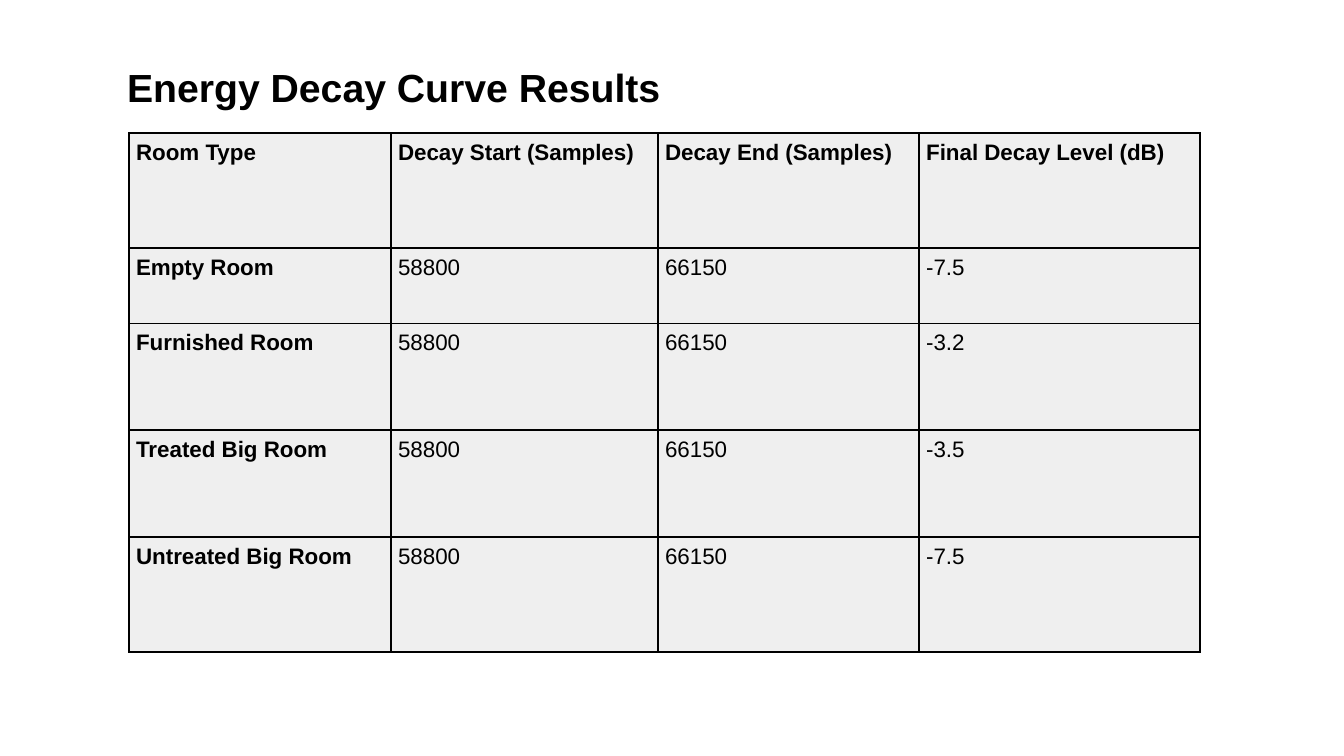
from lxml import etree
from pptx import Presentation
from pptx.dml.color import RGBColor
from pptx.enum.text import MSO_ANCHOR, PP_ALIGN
from pptx.oxml.ns import qn
from pptx.util import Cm, Pt

TITLE = "Energy Decay Curve Results"
ROWS = [
    ("Room Type", "Decay Start (Samples)", "Decay End (Samples)", "Final Decay Level (dB)"),
    ("Empty Room", "58800", "66150", "-7.5"),
    ("Furnished Room", "58800", "66150", "-3.2"),
    ("Treated Big Room", "58800", "66150", "-3.5"),
    ("Untreated Big Room", "58800", "66150", "-7.5"),
]
COLUMN_WIDTHS = [6.6, 6.73, 6.58, 7.09]
ROW_HEIGHTS = [2.9, 1.9, 2.69, 2.69, 2.9]

FONT = "Arial"
BLACK = RGBColor(0x00, 0x00, 0x00)
PALE_GREY = RGBColor(0xEF, 0xEF, 0xEF)
CELL_MARGIN = Cm(0.18)
LEFT, TOP, MIDDLE = PP_ALIGN.LEFT, MSO_ANCHOR.TOP, MSO_ANCHOR.MIDDLE
TITLE_ONLY = 5


def style_paragraph(para, size, bold):
    """Set the font and alignment of a paragraph."""
    para.alignment = LEFT
    para.font.name = FONT
    para.font.size = Pt(size)
    para.font.bold = bold
    para.font.color.rgb = BLACK


def add_title(page):
    """Place and format the slide title."""
    box = page.shapes.title
    box.left, box.top, box.width, box.height = Cm(2.95), Cm(1.47), Cm(22.99), Cm(1.45)
    box.text_frame.text = TITLE
    box.text_frame.vertical_anchor = MIDDLE
    style_paragraph(box.text_frame.paragraphs[0], 28, True)


def add_borders(cell):
    """Draw a solid line on all four sides of a cell."""
    properties = cell._tc.get_or_add_tcPr()
    for side in ("a:lnL", "a:lnR", "a:lnT", "a:lnB"):
        line = etree.SubElement(properties, qn(side), w=str(Pt(1.5)))
        fill = etree.SubElement(line, qn("a:solidFill"))
        etree.SubElement(fill, qn("a:srgbClr"), val=str(BLACK))


def format_cell(cell, text, bold):
    """Fill a cell with its text, borders and background."""
    cell.text = text
    cell.vertical_anchor = TOP
    cell.margin_left = cell.margin_right = CELL_MARGIN
    cell.margin_top = cell.margin_bottom = CELL_MARGIN
    add_borders(cell)
    cell.fill.solid()
    cell.fill.fore_color.rgb = PALE_GREY
    para = cell.text_frame.paragraphs[0]
    para.space_before = para.space_after = Pt(12)
    style_paragraph(para, 16, bold)


def add_results(page):
    """Build the table of decay results."""
    frame = page.shapes.add_table(
        len(ROWS), len(COLUMN_WIDTHS), Cm(3.25), Cm(3.35),
        Cm(sum(COLUMN_WIDTHS)), Cm(sum(ROW_HEIGHTS)))
    table = frame.table
    for column, width in zip(table.columns, COLUMN_WIDTHS):
        column.width = Cm(width)
    for row, height in zip(table.rows, ROW_HEIGHTS):
        row.height = Cm(height)
    for i, values in enumerate(ROWS):
        for j, text in enumerate(values):
            format_cell(table.cell(i, j), text, i == 0 or j == 0)


def main():
    """Build and save the slide."""
    deck = Presentation()
    deck.slide_width, deck.slide_height = Cm(33.87), Cm(19.05)
    page = deck.slides.add_slide(deck.slide_layouts[TITLE_ONLY])
    add_title(page)
    add_results(page)
    deck.save("out.pptx")


if __name__ == "__main__":
    main()
